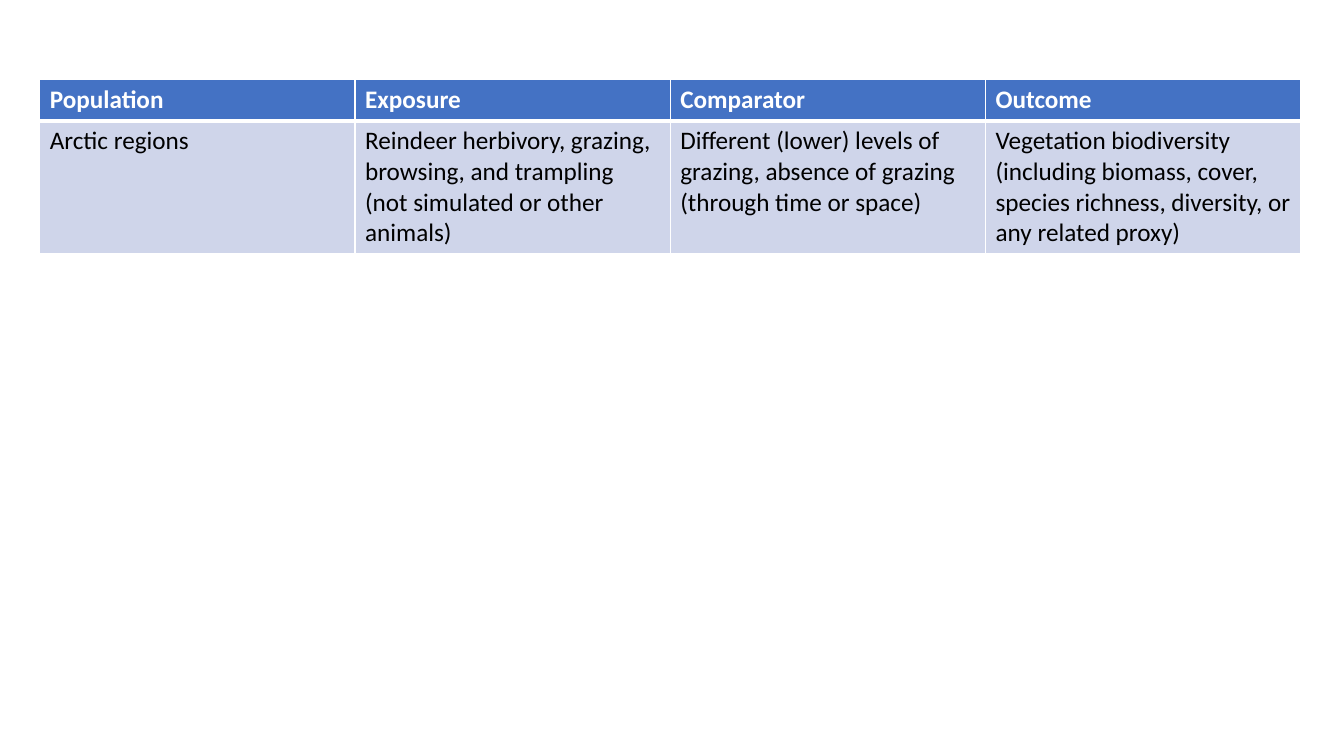
from lxml.etree import SubElement
from pptx import Presentation
from pptx.dml.color import RGBColor
from pptx.oxml.ns import qn
from pptx.util import Pt

COLORS = {"header": "4472C4", "body": "CFD5EA", "white": "FFFFFF", "black": "000000"}
FONT = {"name": "Calibri", "size": Pt(18)}
ROW_HEIGHTS = (29.2, 94)
CRITERIA = (
    ("Population", "Exposure", "Comparator", "Outcome"),
    (
        "Arctic regions",
        "Reindeer herbivory, grazing, browsing, and trampling (not simulated or other animals)",
        "Different (lower) levels of grazing, absence of grazing (through time or space)",
        "Vegetation biodiversity (including biomass, cover, species richness, diversity, "
        "or any related proxy)",
    ),
)


def rgb(key):
    return RGBColor.from_string(COLORS[key])


def set_borders(cell, widths):
    tc_pr = cell._tc.get_or_add_tcPr()
    for side, width in widths.items():
        ln = SubElement(tc_pr, qn(f"a:ln{side}"), w=str(Pt(width)))
        fill = SubElement(ln, qn("a:solidFill"))
        SubElement(fill, qn("a:srgbClr"), val=COLORS["white"])


def format_cell(cell, text, is_header):
    # Borders: heavier rule between header and body
    set_borders(cell, {"L": 1, "R": 1, "T": 1 if is_header else 3, "B": 3 if is_header else 1})
    cell.fill.solid()
    cell.fill.fore_color.rgb = rgb("header" if is_header else "body")

    # Text
    r = cell.text_frame.paragraphs[0].add_run()
    r.text = text
    for attr, value in {**FONT, "bold": is_header}.items():
        setattr(r.font, attr, value)
    r.font.color.rgb = rgb("white" if is_header else "black")


def add_criteria_table(s, left, top, width):
    n_cols = len(CRITERIA[0])
    table = s.shapes.add_table(len(CRITERIA), n_cols, Pt(left), Pt(top),
                               Pt(width), Pt(sum(ROW_HEIGHTS))).table
    for col in table.columns:
        col.width = Pt(width / n_cols)
    for i, (height, texts) in enumerate(zip(ROW_HEIGHTS, CRITERIA)):
        table.rows[i].height = Pt(height)
        for j, text in enumerate(texts):
            format_cell(table.cell(i, j), text, is_header=i == 0)


def main():
    prs = Presentation()
    prs.slide_width, prs.slide_height = Pt(960), Pt(540)
    s = prs.slides.add_slide(prs.slide_layouts[6])
    add_criteria_table(s, left=28.4, top=57, width=900.8)
    prs.save("out.pptx")


if __name__ == "__main__":
    main()
